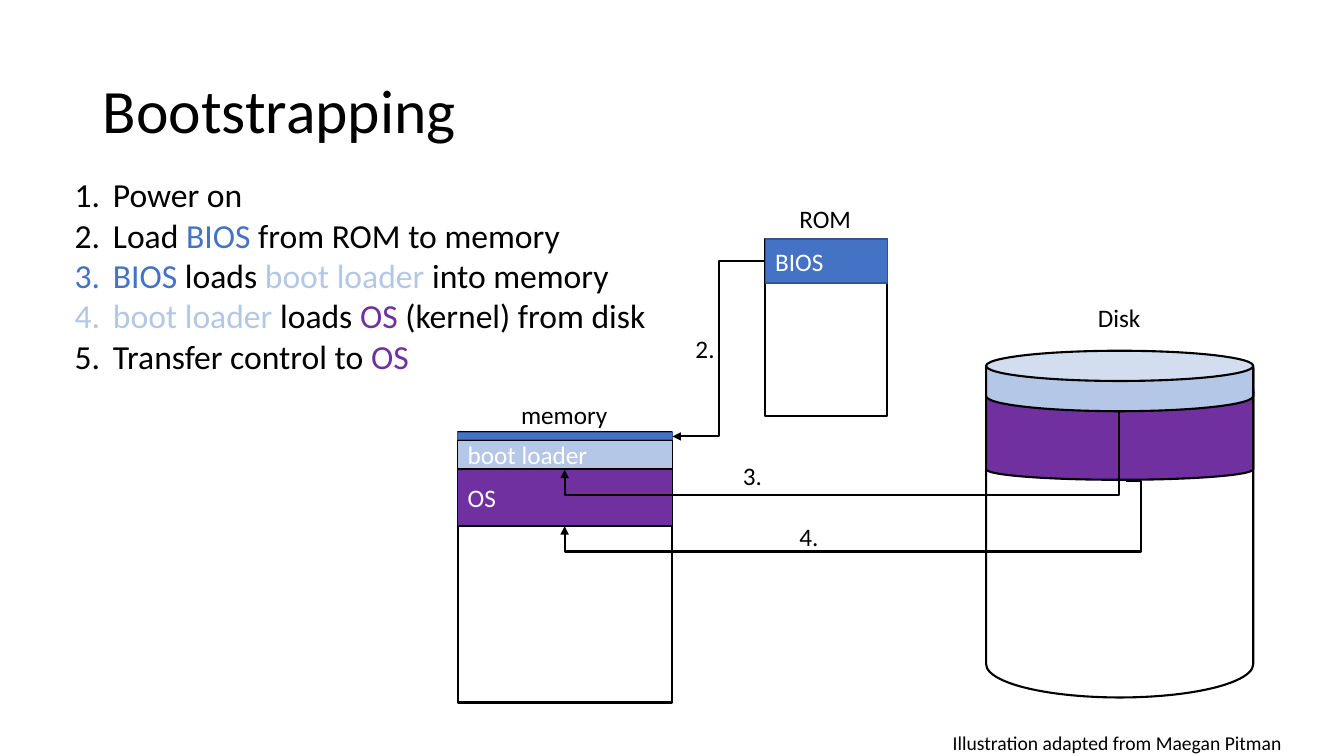
from lxml.etree import SubElement
from pptx import Presentation
from pptx.dml.color import RGBColor
from pptx.enum.shapes import MSO_CONNECTOR as Link, MSO_SHAPE as Kind
from pptx.enum.text import MSO_ANCHOR as Anchor, MSO_AUTO_SIZE as Fit, PP_ALIGN as Align
from pptx.oxml.ns import qn
from pptx.util import Inches, Pt

BLACK = RGBColor(0x00, 0x00, 0x00)
WHITE = RGBColor(0xFF, 0xFF, 0xFF)
BLUE = RGBColor(0x44, 0x72, 0xC4)
NAVY = RGBColor(0x32, 0x54, 0x91)
PALE = RGBColor(0xB4, 0xC7, 0xE7)
PURPLE = RGBColor(0x70, 0x30, 0xA0)
FONT = "Calibri"

TITLE = "Bootstrapping"
STEPS = [
    [("Power on", BLACK)],
    [("Load ", BLACK), ("BIOS", BLUE), (" from ROM to memory", BLACK)],
    [("BIOS", BLUE), (" loads ", BLACK), ("boot loader ", PALE), ("into memory", BLACK)],
    [("boot loader", PALE), (" loads ", BLACK), ("OS", PURPLE), (" (kernel) from disk", BLACK)],
    [("Transfer control to ", BLACK), ("OS", PURPLE)],
]

DISK = (9.78, 2.65)
MEMORY = (4.54, 2.13)
ROM = (7.59, 1.21)

CANS = [
    (3.55, 3.37, 0.25, WHITE),
    (3.55, 1.21, 0.173, PURPLE),
    (3.48, 0.6, 0.5, PALE),
]
BLOCKS = [
    (MEMORY, 4.29, 2.68, WHITE, BLACK, 1.5, ""),
    (ROM, 2.37, 1.76, WHITE, BLACK, 1.5, ""),
    (ROM, 2.37, 0.44, BLUE, NAVY, 1, "BIOS"),
    (MEMORY, 4.29, 0.07, BLUE, NAVY, 1, ""),
    (MEMORY, 4.37, 0.28, PALE, BLACK, 1, "boot loader"),
    (MEMORY, 4.66, 0.56, PURPLE, BLACK, 1, "OS"),
]
ARROWS = [
    ((6.67, 4.33), (7.59, 2.59), 180, "bentConnector3", [0.5]),
    ((8.06, 1.62), (8.64, 7.12), 90, "bentConnector3", [1.431]),
    ((5.6, 5.22), (11.17, 4.77), 180, "bentConnector4", [-0.026, 1.558]),
]
LABELS = [
    ("ROM", 7.83, 1.97, 0.72, 0.4, 18),
    ("memory", 5.07, 3.91, 1.07, 0.4, 18),
    ("Disk", 10.79, 2.95, 0.63, 0.4, 18),
    ("2.", 6.8, 3.26, 0.46, 0.4, 18),
    ("3.", 7.27, 4.52, 0.46, 0.4, 18),
    ("4.", 7.83, 5.12, 0.46, 0.4, 18),
    ("Illustration adapted from Maegan Pitman", 9.35, 7.2, 3.5, 0.34, 14),
]


def style(run, size, color):
    run.font.name = FONT
    run.font.size = Pt(size)
    run.font.color.rgb = color


def place(shape, *box):
    shape.left, shape.top, shape.width, shape.height = map(Inches, box)


def add_title(slide):
    title = slide.shapes.title
    place(title, 0.92, 0.4, 11.5, 1.45)
    frame = title.text_frame
    frame.text = TITLE
    frame.auto_size = Fit.NONE
    frame.vertical_anchor = Anchor.MIDDLE
    para = frame.paragraphs[0]
    para.alignment = Align.LEFT
    para.line_spacing = 0.9
    style(para.runs[0], 44, BLACK)


def add_steps(slide):
    body = slide.placeholders[1]
    place(body, 0.64, 1.68, 6.1, 2.12)
    frame = body.text_frame
    frame.auto_size = Fit.NONE
    frame.vertical_anchor = Anchor.TOP
    for index, step in enumerate(STEPS):
        para = frame.add_paragraph() if index else frame.paragraphs[0]
        para.space_before = Pt(0)
        for text, color in step:
            run = para.add_run()
            run.text = text
            style(run, 24, color)
        props = para._p.get_or_add_pPr()
        props.set("marL", str(Inches(0.38)))
        props.set("indent", str(-Inches(0.38)))
        SubElement(props, qn("a:buFont"), typeface="+mj-lt")
        SubElement(props, qn("a:buAutoNum"), type="arabicPeriod")


def add_solid(slide, kind, span, top, height, fill, line, weight):
    left, width = span
    shape = slide.shapes.add_shape(kind, *map(Inches, (left, top, width, height)))
    shape.shadow.inherit = False
    shape.fill.solid()
    shape.fill.fore_color.rgb = fill
    shape.line.color.rgb = line
    shape.line.width = Pt(weight)
    return shape


def add_arrow(slide, start, end, turn, bend, ratios):
    arrow = slide.shapes.add_connector(Link.ELBOW, *map(Inches, start + end))
    arrow.line.color.rgb = BLACK
    arrow.line.width = Pt(1.5)
    props = arrow._element.spPr
    props.find(qn("a:xfrm")).set("rot", str(turn * 60000))
    shape = props.find(qn("a:prstGeom"))
    shape.set("prst", bend)
    guides = shape.find(qn("a:avLst"))
    for index, ratio in enumerate(ratios, 1):
        SubElement(guides, qn("a:gd"), name=f"adj{index}", fmla=f"val {round(ratio * 100000)}")
    SubElement(props.find(qn("a:ln")), qn("a:tailEnd"), type="triangle")
    SubElement(props, qn("a:effectLst"))


def add_label(slide, text, left, top, width, height, size):
    label = slide.shapes.add_textbox(*map(Inches, (left, top, width, height)))
    label.text_frame.text = text
    style(label.text_frame.paragraphs[0].runs[0], size, BLACK)


def main():
    deck = Presentation()
    deck.slide_width, deck.slide_height = Inches(13.33), Inches(7.5)
    slide = deck.slides.add_slide(deck.slide_layouts[1])
    add_title(slide)
    add_steps(slide)
    for top, height, curve, fill in CANS:
        can = add_solid(slide, Kind.CAN, DISK, top, height, fill, BLACK, 1.5)
        can.adjustments[0] = curve
    for *look, text in BLOCKS:
        block = add_solid(slide, Kind.RECTANGLE, *look)
        if text:
            block.text_frame.text = text
            style(block.text_frame.paragraphs[0].runs[0], 18, WHITE)
    for arrow in ARROWS:
        add_arrow(slide, *arrow)
    for label in LABELS:
        add_label(slide, *label)
    deck.save("out.pptx")


if __name__ == "__main__":
    main()
